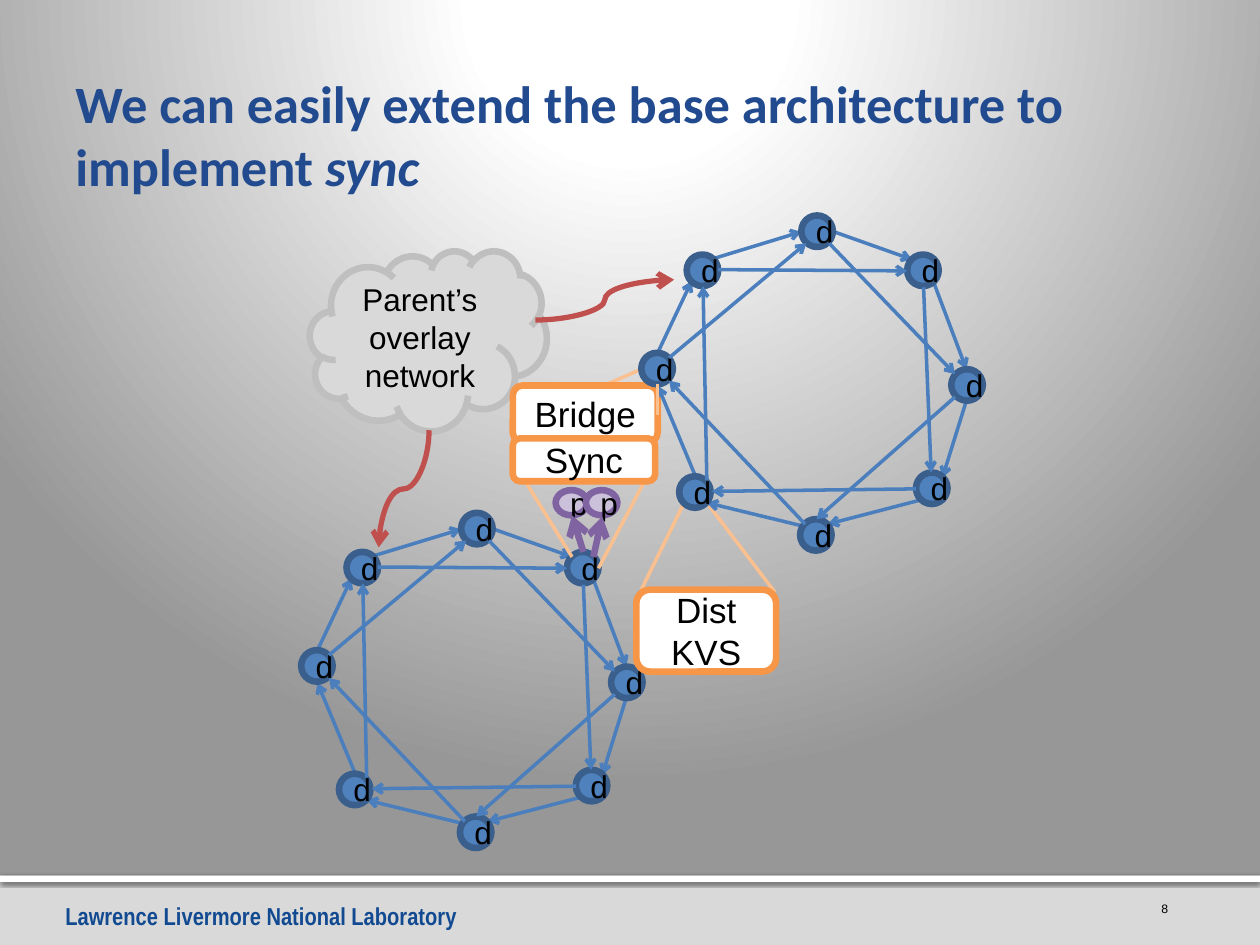
from lxml import etree
from pptx import Presentation
from pptx.dml.color import RGBColor
from pptx.enum.shapes import MSO_CONNECTOR, MSO_SHAPE
from pptx.enum.text import MSO_ANCHOR, PP_ALIGN
from pptx.oxml import parse_xml
from pptx.oxml.ns import qn
from pptx.util import Inches, Pt

STRAIGHT, CURVE = MSO_CONNECTOR.STRAIGHT, MSO_CONNECTOR.CURVE
OVAL, CLOUD = MSO_SHAPE.OVAL, MSO_SHAPE.CLOUD
RECTANGLE, ROUNDED = MSO_SHAPE.RECTANGLE, MSO_SHAPE.ROUNDED_RECTANGLE
MIDDLE, BOTTOM = MSO_ANCHOR.MIDDLE, MSO_ANCHOR.BOTTOM
LEFT, CENTER, RIGHT = PP_ALIGN.LEFT, PP_ALIGN.CENTER, PP_ALIGN.RIGHT

BLACK = RGBColor(0x00, 0x00, 0x00)
WHITE = RGBColor(0xFF, 0xFF, 0xFF)
LIGHT_GRAY = RGBColor(0xD9, 0xD9, 0xD9)
CLOUD_EDGE = RGBColor(0xBF, 0xBF, 0xBF)
TITLE_BLUE = RGBColor(0x21, 0x4A, 0x8F)
FOOTER_BLUE = RGBColor(0x12, 0x4A, 0x91)
NODE_BLUE = RGBColor(0x4F, 0x81, 0xBD)
NODE_EDGE = RGBColor(0x3A, 0x5F, 0x8C)
ARROW_BLUE = RGBColor(0x4B, 0x7E, 0xBC)
RED = RGBColor(0xC0, 0x50, 0x4D)
PURPLE = RGBColor(0x80, 0x64, 0xA2)
LAVENDER = RGBColor(0xCC, 0xC1, 0xDA)
ORANGE = RGBColor(0xF7, 0x96, 0x46)
PALE_ORANGE = RGBColor(0xFA, 0xC0, 0x90)

NAMESPACE = 'xmlns:a="http://schemas.openxmlformats.org/drawingml/2006/main"'

presentation = Presentation()
presentation.slide_width = Inches(10)
presentation.slide_height = Inches(7.5)
slide = presentation.slides.add_slide(presentation.slide_layouts[6])


def add_labelled(kind, left, top, width, height, fill, edge, label, size):
    shape = slide.shapes.add_shape(
        kind, Inches(left), Inches(top), Inches(width), Inches(height))
    shape.shadow.inherit = False
    shape.fill.solid()
    shape.fill.fore_color.rgb = fill
    shape.line.color.rgb = edge
    shape.line.width = Pt(3.78)
    shape.text_frame.text = label
    shape.text_frame.vertical_anchor = MIDDLE
    paragraph = shape.text_frame.paragraphs[0]
    paragraph.alignment = CENTER
    font = paragraph.runs[0].font
    font.name, font.size = "Arial", Pt(size)
    font.color.rgb = BLACK


def add_line(x1, y1, x2, y2, color, width, arrow=True, kind=STRAIGHT):
    connector = slide.shapes.add_connector(
        kind, Inches(x1), Inches(y1), Inches(x2), Inches(y2))
    connector.line.color.rgb = color
    connector.line.width = Pt(width)
    if arrow:
        etree.SubElement(connector.line._get_or_add_ln(), qn("a:tailEnd"), type="arrow")
    etree.SubElement(connector._element.spPr, qn("a:effectLst"))
    return connector


slide.background.fill.solid()
background = slide.background._cSld.bg.bgPr
stops = "".join(
    f'<a:gs pos="{position}000"><a:srgbClr val="{color}"/></a:gs>'
    for position, color in [(0, WHITE), (12, WHITE), (20, WHITE), (100, "979797")])
background.replace(background[0], parse_xml(
    f'<a:gradFill {NAMESPACE} rotWithShape="1"><a:gsLst>{stops}</a:gsLst><a:path path="circle">'
    '<a:fillToRect l="10000" t="-25000" r="10000" b="125000"/></a:path></a:gradFill>'))

for height, color, opacity, blur, distance in [
    (0.55, LIGHT_GRAY, 38, 3.1, 2),
    (0.05, WHITE, 60, 2.5, 0.8),
]:
    bar = slide.shapes.add_shape(RECTANGLE, 0, Inches(6.95), Inches(10), Inches(height))
    bar.fill.solid()
    bar.fill.fore_color.rgb = color
    bar.line.fill.background()
    bar._element.spPr.append(parse_xml(
        f'<a:effectLst {NAMESPACE}><a:outerShdw blurRad="{Pt(blur)}" dist="{Pt(distance)}" '
        'dir="5400000" algn="t" rotWithShape="0"><a:srgbClr val="000000">'
        f'<a:alpha val="{opacity}000"/></a:srgbClr></a:outerShdw></a:effectLst>'))

title = "We can easily extend the base architecture to implement "
for left, top, width, height, words, font_name, size, color, bold, alignment in [
    (0.42, 7.1, 3.9, 0.34, "Lawrence Livermore National Laboratory",
     "Arial Narrow", 14, FOOTER_BLUE, True, LEFT),
    (8.98, 7.1, 0.39, 0.17, "8", "Arial", 7, BLACK, False, RIGHT),
    (0.5, 0.24, 9, 1.37, title, "Calibri", 30, TITLE_BLUE, True, LEFT),
]:
    box = slide.shapes.add_textbox(Inches(left), Inches(top), Inches(width), Inches(height))
    box.text_frame.word_wrap = True
    box.text_frame.text = words
    paragraph = box.text_frame.paragraphs[0]
    paragraph.alignment = alignment
    if words == title:
        box.text_frame.vertical_anchor = BOTTOM
        box.text_frame.margin_right = Inches(0.05)
        emphasis = paragraph.add_run()
        emphasis.text = "sync"
        emphasis.font.italic = True
    for run in paragraph.runs:
        run.font.name, run.font.size, run.font.bold = font_name, Pt(size), bold
        run.font.color.rgb = color

ring_nodes = [
    (3.66, 4.07), (4.5, 4.38), (4.85, 5.29), (4.57, 6.11),
    (3.65, 6.48), (2.69, 6.14), (2.39, 5.16), (2.75, 4.38),
]
neighbor_arrows = [
    (3.92, 4.2, 4.54, 4.42), (4.71, 4.6, 4.97, 5.29),
    (4.97, 5.54, 4.78, 6.15), (4.6, 6.33, 3.87, 6.52),
    (3.65, 6.53, 2.91, 6.35), (2.82, 6.14, 2.52, 5.42),
    (2.52, 5.16, 2.79, 4.59), (2.97, 4.41, 3.66, 4.2),
]
skip_arrows = [
    (3.88, 4.29, 4.88, 5.33), (4.63, 4.64, 4.69, 6.11),
    (4.88, 5.51, 3.78, 6.48), (4.57, 6.24, 2.95, 6.26),
    (3.69, 6.52, 2.61, 5.38), (2.91, 6.17, 2.88, 4.63),
    (2.61, 5.2, 3.7, 4.29), (3, 4.5, 4.5, 4.51),
]

add_labelled(CLOUD, 2.46, 1.99, 1.88, 1.43, LIGHT_GRAY, CLOUD_EDGE, "Parent’s overlay network", 18)
downward_arrow = add_line(2.74, 3.68, 3.67, 4.08, RED, 3, kind=CURVE)
downward_arrow._element.spPr.xfrm.set("rot", "5400000")

for shift_x, shift_y in [(0, 0), (2.7, -2.36)]:
    if shift_x:
        for x in (4.41, 4.65):
            add_labelled(OVAL, x, 3.89, 0.25, 0.2, LAVENDER, PURPLE, "p", 18)
        add_line(4.71, 4.42, 4.78, 4.1, PURPLE, 3.78)
        add_line(4.63, 4.38, 4.54, 4.09, PURPLE, 3.78)
        for ends in [
            (4.75, 4.51, 5.2, 3.66), (4.54, 4.42, 4.07, 3.66), (5.09, 2.93, 4.5, 3.19),
            (5.43, 3.99, 5.09, 4.68), (5.61, 3.99, 6.15, 4.7),
        ]:
            add_line(*ends, PALE_ORANGE, 2, arrow=False)
        for left, top, width, height, label in [
            (4.07, 3.06, 1.15, 0.45, "Bridge"),
            (4.07, 3.48, 1.13, 0.34, "Sync"),
            (5.05, 4.68, 1.11, 0.65, "Dist KVS"),
        ]:
            add_labelled(ROUNDED, left, top, width, height, WHITE, ORANGE, label, 20)
        add_line(4.25, 2.54, 5.35, 2.22, RED, 3, kind=CURVE)
    for x1, y1, x2, y2 in neighbor_arrows:
        add_line(x1 + shift_x, y1 + shift_y, x2 + shift_x, y2 + shift_y, ARROW_BLUE, 2)
    for x, y in ring_nodes:
        add_labelled(OVAL, x + shift_x, y + shift_y, 0.25, 0.25, NODE_BLUE, NODE_EDGE, "d", 18)
    for x1, y1, x2, y2 in skip_arrows:
        add_line(x1 + shift_x, y1 + shift_y, x2 + shift_x, y2 + shift_y, ARROW_BLUE, 2)

add_line(5.22, 3.05, 5.22, 3.29, PALE_ORANGE, 2, arrow=False)

presentation.save("out.pptx")
